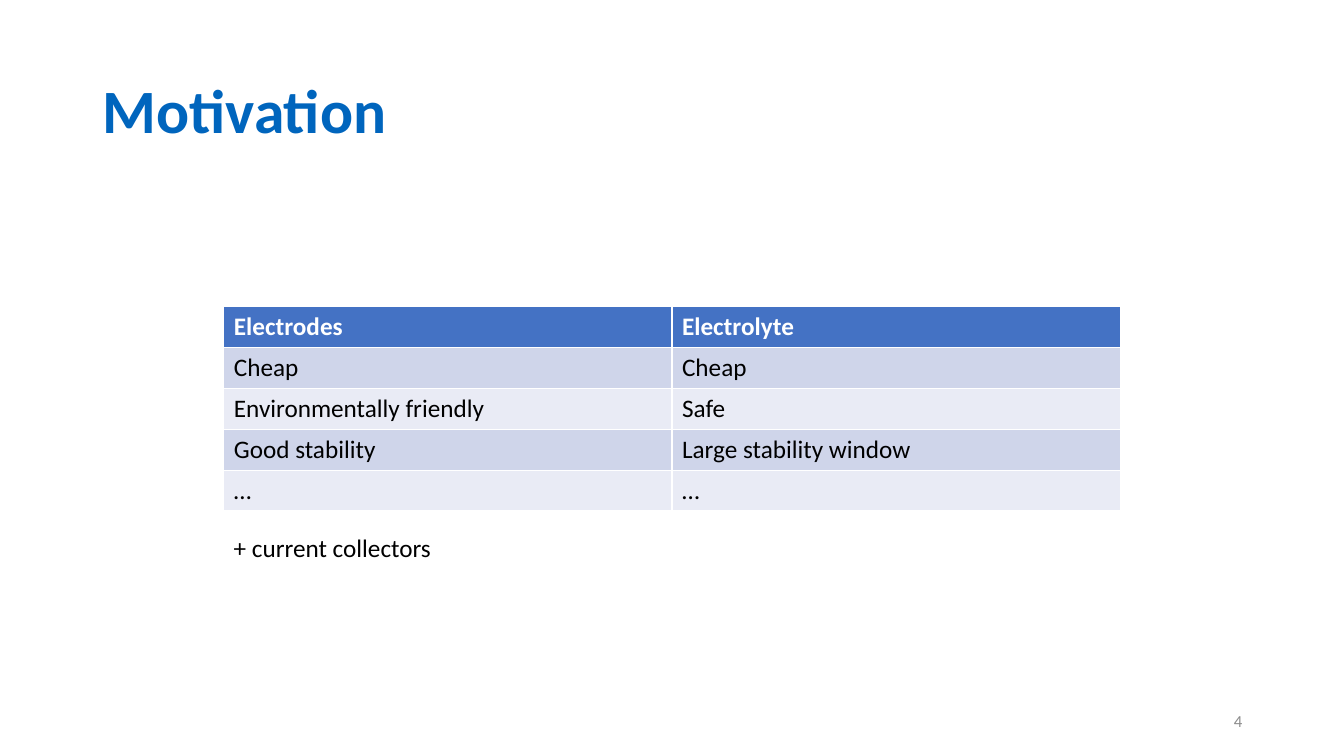
from pptx import Presentation
from pptx import util as u
from pptx.dml.color import RGBColor
from pptx.enum import text

COLORS = {
    "title": "0065BD",
    "header": "4472C4",
    "band_dark": "CFD5EA",
    "band_light": "E9EBF5",
    "white": "FFFFFF",
    "black": "000000",
    "number": "8C8C8C",
}

REQUIREMENTS = [
    ("Electrodes", "Electrolyte"),
    ("Cheap", "Cheap"),
    ("Environmentally friendly", "Safe"),
    ("Good stability", "Large stability window"),
    ("…", "…"),
]


class SlideBuilder:
    font = "Calibri"

    def __init__(self, prs):
        self.s = prs.slides.add_slide(prs.slide_layouts[5])

    def add_text(self, tf, content, color, size=18, bold=False, align=text.PP_ALIGN.LEFT):
        p = tf.paragraphs[0]
        p.alignment = align
        r = p.add_run()
        r.text = content
        for name, value in {"name": self.font, "size": u.Pt(size), "bold": bold}.items():
            setattr(r.font, name, value)
        r.font.color.rgb = RGBColor.from_string(COLORS[color])
        return p

    def place(self, sp, box):
        for name, value in zip(("left", "top", "width", "height"), box):
            setattr(sp, name, u.Inches(value))

    def title(self, content, box):
        sp = self.s.shapes.title
        self.place(sp, box)
        tf = sp.text_frame
        tf.auto_size = text.MSO_AUTO_SIZE.NONE
        tf.vertical_anchor = text.MSO_ANCHOR.MIDDLE
        p = self.add_text(tf, content, "title", 44, True)
        p.line_spacing = 0.9

    def textbox(self, content, box, anchor=text.MSO_ANCHOR.TOP, **style):
        sp = self.s.shapes.add_textbox(*map(u.Inches, box))
        tf = sp.text_frame
        tf.word_wrap = True
        tf.vertical_anchor = anchor
        self.add_text(tf, content, **style)

    def table(self, rows, box):
        frame = self.s.shapes.add_table(len(rows), len(rows[0]), *map(u.Inches, box))
        for i, row in enumerate(rows):
            header = i == 0
            fill = "header" if header else ("band_light", "band_dark")[i % 2]
            for j, content in enumerate(row):
                cell = frame.table.cell(i, j)
                cell.fill.solid()
                cell.fill.fore_color.rgb = RGBColor.from_string(COLORS[fill])
                color = "white" if header else "black"
                self.add_text(cell.text_frame, content, color, bold=header)


def main():
    prs = Presentation()
    prs.slide_width, prs.slide_height = u.Inches(13.33), u.Inches(7.5)
    slide = SlideBuilder(prs)
    slide.title("Motivation", (0.92, 0.4, 11.5, 1.45))
    slide.table(REQUIREMENTS, (2.22, 3.04, 8.89, 2.03))
    slide.textbox("4", (9.42, 6.95, 3, 0.4), text.MSO_ANCHOR.MIDDLE,
                  color="number", size=12, align=text.PP_ALIGN.RIGHT)
    slide.textbox("+ current collectors", (2.22, 5.23, 4.44, 0.4), color="black")
    prs.save("out.pptx")


if __name__ == "__main__":
    main()
